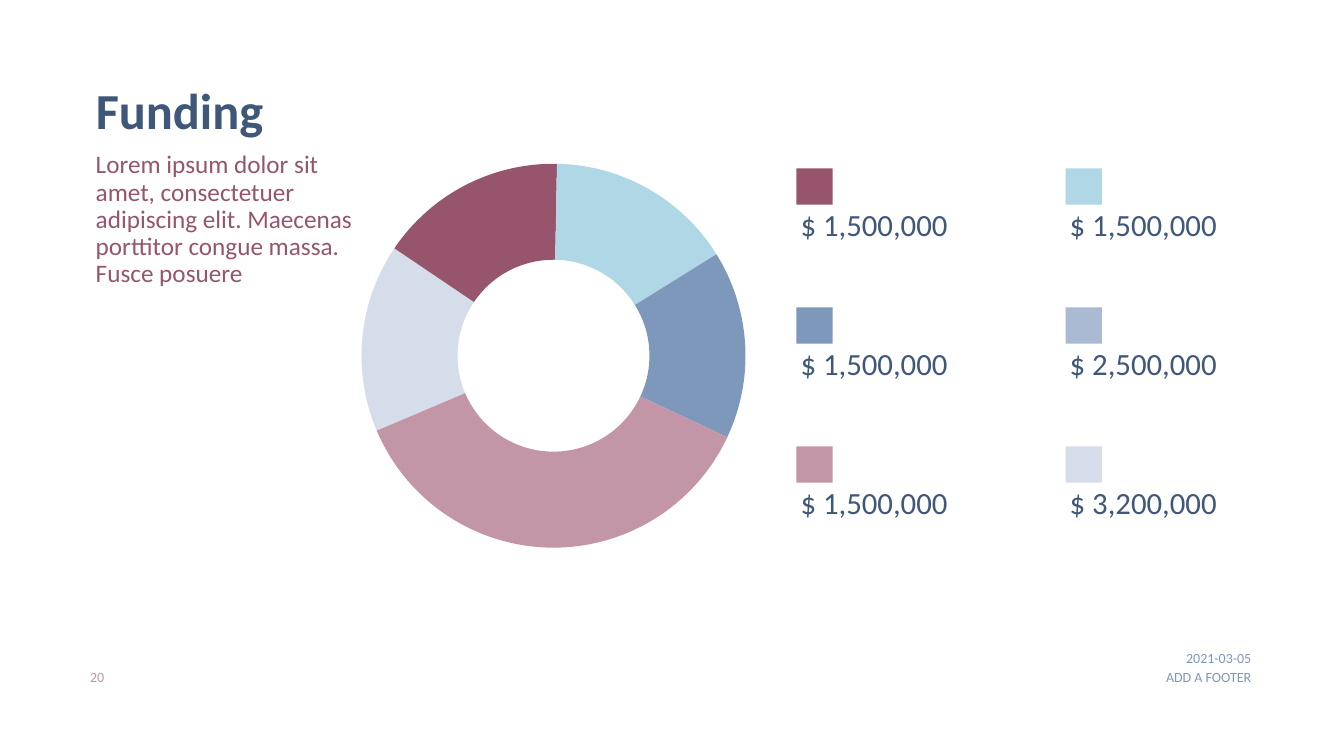
import pptx
import pptx.util
import pptx.chart.data
import pptx.dml.color
import pptx.enum.chart
import pptx.enum.shapes
import pptx.enum.text
import pptx.oxml

RGB = pptx.dml.color.RGBColor
NAVY = RGB(0x3F, 0x57, 0x79)
PLUM = RGB(0x96, 0x55, 0x6D)
SKY = RGB(0xAF, 0xD7, 0xE6)
BLUE = RGB(0x7E, 0x98, 0xBC)
STEEL = RGB(0xA9, 0xBA, 0xD2)
ROSE = RGB(0xC3, 0x96, 0xA7)
MIST = RGB(0xD4, 0xDD, 0xE9)
WHITE = RGB(0xFF, 0xFF, 0xFF)

FONT = "Calibri"
ALIGN = pptx.enum.text.PP_ALIGN
ANCHOR = pptx.enum.text.MSO_ANCHOR

LEGEND = [
    (PLUM, "$ 1,500,000"), (SKY, "$ 1,500,000"),
    (BLUE, "$ 1,500,000"), (STEEL, "$ 2,500,000"),
    (ROSE, "$ 1,500,000"), (MIST, "$ 3,200,000"),
]
SHARES = [(MIST, 16), (PLUM, 16), (SKY, 16), (BLUE, 16), (ROSE, 37)]


def px(num):
    """One inch is 100 px."""
    return pptx.util.Emu(num * 9144)


def add_text(slide, box, text, size, color, align=ALIGN.LEFT,
             anchor=ANCHOR.TOP, inset=4, bold=False, lead=0.9):
    frame = slide.shapes.add_textbox(*map(px, box)).text_frame
    frame.word_wrap = True
    frame.vertical_anchor = anchor
    frame.margin_left = px(inset)
    frame.margin_top = frame.margin_right = frame.margin_bottom = 0
    frame.text = text
    para = frame.paragraphs[0]
    para.alignment = align
    para.line_spacing = lead
    font = para.runs[0].font
    font.name, font.size, font.bold = FONT, pptx.util.Pt(size), bold
    font.color.rgb = color


def add_intro(slide, left, top):
    add_text(slide, (left, top, 689, 62), "Funding", 36, NAVY,
             anchor=ANCHOR.MIDDLE, bold=True)
    add_text(slide, (left, top + 70, 274, 178),
             "Lorem ipsum dolor sit amet, consectetuer adipiscing elit. "
             "Maecenas porttitor congue massa. Fusce posuere", 18, PLUM)


def add_ring(slide, box):
    data = pptx.chart.data.CategoryChartData()
    data.categories = [str(num + 1) for num in range(len(SHARES))]
    data.add_series("Series 1", [share for _, share in SHARES])
    chart = slide.shapes.add_chart(
        pptx.enum.chart.XL_CHART_TYPE.DOUGHNUT, *map(px, box), data).chart
    chart.has_legend = chart.has_title = False
    chart.font.name, chart.font.size = FONT, pptx.util.Pt(10)
    chart.font.color.rgb = NAVY
    plot = chart.plots[0]
    plot.vary_by_categories = True
    for num, (color, _) in enumerate(SHARES):
        fill = plot.series[0].points[num].format.fill
        fill.solid()
        fill.fore_color.rgb = color

    # Turn, hole and size of the ring
    area = chart.element.find(".//{*}plotArea")
    ring = area.find("{*}doughnutChart")
    for tag, value in (("firstSliceAng", 247), ("holeSize", 53)):
        ring.find("{*}" + tag).set("val", str(value))
    for old in area.findall("{*}layout"):
        area.remove(old)
    wide, high = box[2:]
    side = 381
    area.insert(0, pptx.oxml.parse_xml(
        '<c:layout xmlns:c="http://schemas.openxmlformats.org/'
        'drawingml/2006/chart"><c:manualLayout>'
        '<c:layoutTarget val="inner"/>'
        '<c:xMode val="edge"/><c:yMode val="edge"/>'
        f'<c:x val="{(wide - side) / 2 / wide:.3f}"/>'
        f'<c:y val="{(high - side) / 2 / high:.3f}"/>'
        f'<c:w val="{side / wide:.3f}"/><c:h val="{side / high:.3f}"/>'
        '</c:manualLayout></c:layout>'))


def add_legend(slide, left, top):
    for num, (color, amount) in enumerate(LEGEND):
        row, col = divmod(num, 2)
        x, y = left + col * 267, top + row * 138
        key = slide.shapes.add_shape(
            pptx.enum.shapes.MSO_SHAPE.RECTANGLE,
            *map(px, (x, y, 36, 36)))
        key.shadow.inherit = False
        key.fill.solid()
        key.fill.fore_color.rgb = color
        key.line.fill.background()
        add_text(slide, (x, y + 37, 217, 37), amount, 22, NAVY,
                 anchor=ANCHOR.BOTTOM)


def add_footer(slide, left, top, right):
    add_text(slide, (left, top, 43, 26), "20", 10, ROSE,
             align=ALIGN.CENTER, inset=10, lead=1.0)
    add_text(slide, (right - 118, top - 28, 118, 26), "2021-03-05", 10, BLUE,
             align=ALIGN.RIGHT, anchor=ANCHOR.BOTTOM, inset=10, lead=1.0)
    add_text(slide, (right - 450, top, 450, 26), "ADD A FOOTER", 10, BLUE,
             align=ALIGN.RIGHT, inset=10, lead=1.0)


def main():
    deck = pptx.Presentation()
    deck.slide_width, deck.slide_height = px(1333), px(750)
    slide = deck.slides.add_slide(deck.slide_layouts[6])
    slide.background.fill.solid()
    slide.background.fill.fore_color.rgb = WHITE
    add_intro(slide, 91, 81)
    add_ring(slide, (345, 146, 408, 414))
    add_legend(slide, 790, 167)
    add_footer(slide, 70, 663, 1241)
    deck.save("out.pptx")


if __name__ == "__main__":
    main()
